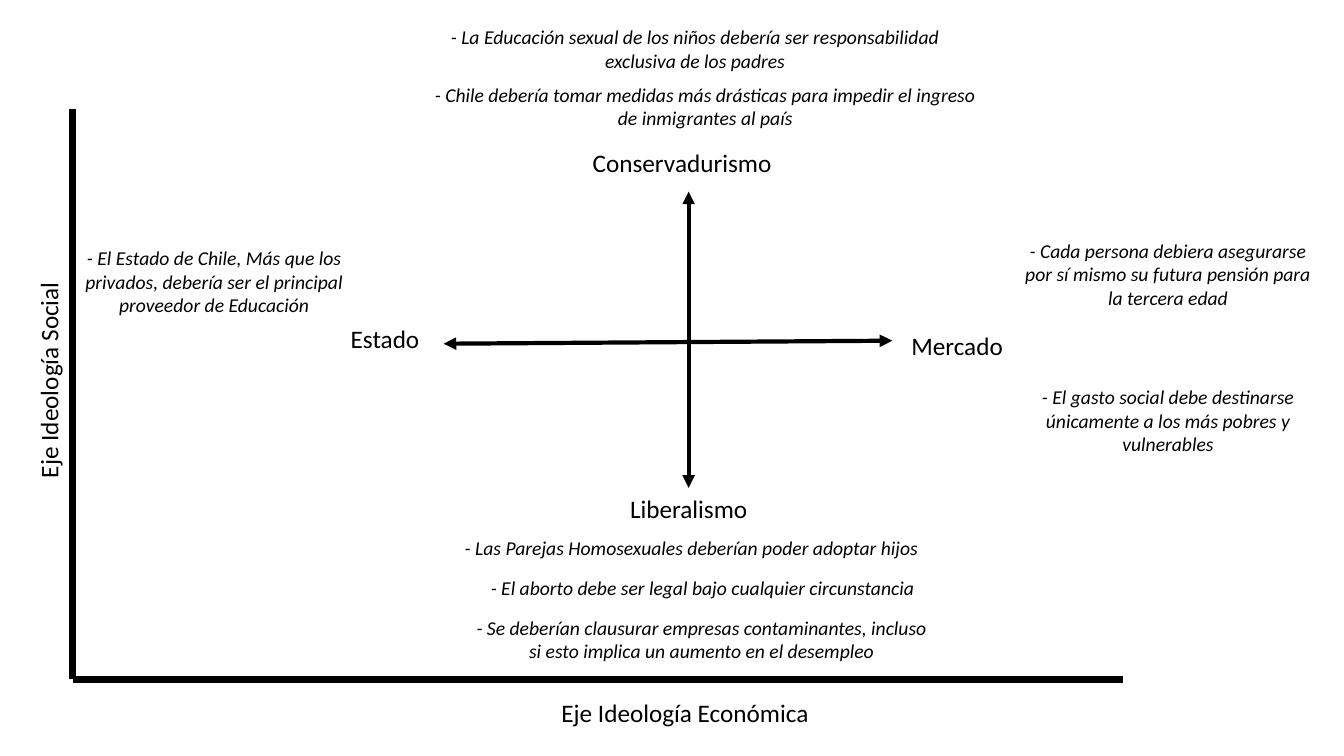
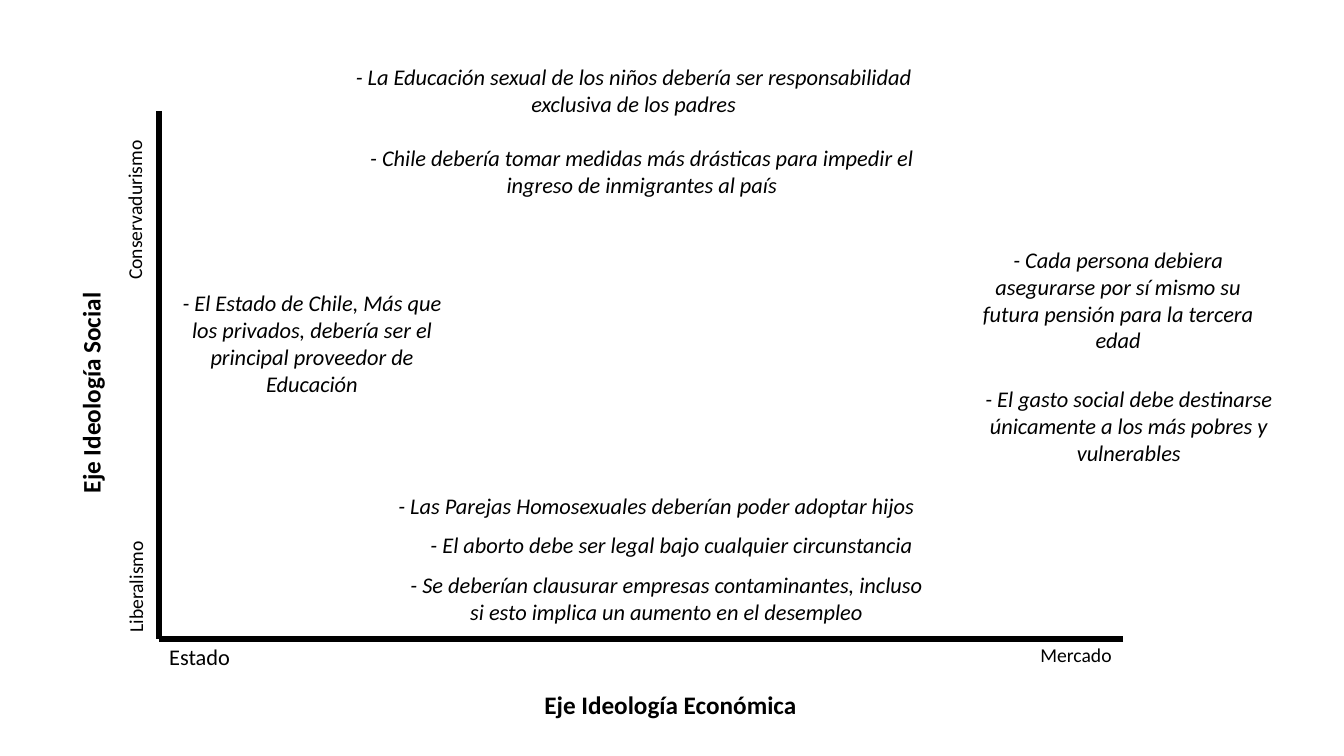
from lxml.etree import SubElement
from pptx import Presentation
from pptx.dml.color import RGBColor
from pptx.enum.shapes import MSO_CONNECTOR
from pptx.enum.text import MSO_AUTO_SIZE, PP_ALIGN
from pptx.oxml.ns import qn
from pptx.util import Inches, Pt

COLORS = {"ink": "000000", "background": "FFFFFF"}
FONT = "Calibri"
SOCIAL_AXIS = "Eje Ideología Social"
ECONOMIC_AXIS = "Eje Ideología Económica"
AXIS_END = 11.14

STATEMENTS = {
    "education": "- La Educación sexual de los niños debería ser responsabilidad "
                 "exclusiva de los padres",
    "immigration": "- Chile debería tomar medidas más drásticas para impedir el "
                   "ingreso de inmigrantes al país",
    "state": "- El Estado de Chile, Más que los privados, debería ser el "
             "principal proveedor de Educación",
    "pension": "- Cada persona debiera asegurarse por sí mismo su futura pensión "
               "para la tercera edad",
    "spending": "- El gasto social debe destinarse únicamente a los más pobres y "
                "vulnerables",
    "adoption": "- Las Parejas Homosexuales deberían poder adoptar hijos",
    "abortion": "- El aborto debe ser legal bajo cualquier circunstancia",
    "pollution": "- Se deberían clausurar empresas contaminantes, incluso si esto "
                 "implica un aumento en el desempleo",
}

CROSS_PLACES = {
    "education": (4.04, 0.2, 5.71, 0.57),
    "immigration": (4.14, 0.77, 5.71, 0.57),
    "state": (0.61, 2.39, 3.03, 0.81),
    "pension": (10.07, 2.32, 3.03, 0.81),
    "spending": (10.07, 3.77, 3.03, 0.81),
    "adoption": (4.51, 5.27, 4.7, 0.34),
    "abortion": (4.62, 5.66, 4.7, 0.34),
    "pollution": (4.61, 6.06, 4.7, 0.57),
}

PLANE_PLACES = {
    "education": (3.43, 0.58, 5.71, 0.64),
    "immigration": (3.51, 1.38, 5.71, 0.64),
    "state": (1.58, 2.82, 3.03, 1.18),
    "pension": (9.52, 2.39, 3.14, 1.18),
    "spending": (9.52, 3.77, 3.35, 0.91),
    "adoption": (3.81, 4.83, 5.4, 0.37),
    "abortion": (4.01, 5.22, 5.3, 0.37),
    "pollution": (3.91, 5.62, 5.4, 0.64),
}


def add_text(slide, text, place, size=18, bold=False, italic=False,
             align=PP_ALIGN.LEFT, rotation=0):
    box = slide.shapes.add_textbox(*map(Inches, place))
    box.rotation = rotation
    frame = box.text_frame
    frame.word_wrap = True
    frame.auto_size = MSO_AUTO_SIZE.SHAPE_TO_FIT_TEXT
    paragraph = frame.paragraphs[0]
    paragraph.alignment = align
    run = paragraph.add_run()
    run.text = text
    font = run.font
    font.name, font.size = FONT, Pt(size)
    font.bold, font.italic = bold, italic
    font.color.rgb = RGBColor.from_string(COLORS["ink"])


def add_line(slide, start, end, width=4.5, arrows=False):
    line = slide.shapes.add_connector(
        MSO_CONNECTOR.STRAIGHT, *map(Inches, (*start, *end)))
    line.line.width = Pt(width)
    line.line.color.rgb = RGBColor.from_string(COLORS["ink"])
    properties = line._element.spPr
    if arrows:
        outline = properties.find(qn("a:ln"))
        for tip in ("a:headEnd", "a:tailEnd"):
            SubElement(outline, qn(tip), type="triangle")
    SubElement(properties, qn("a:effectLst"))


def add_axes(slide, left, top, bottom, social_place, economic_place, bold=False):
    add_line(slide, (left, top), (left, bottom))
    add_line(slide, (AXIS_END, bottom), (left, bottom))
    add_text(slide, SOCIAL_AXIS, social_place, bold=bold, rotation=270)
    add_text(slide, ECONOMIC_AXIS, economic_place, bold=bold)


def add_statements(slide, places, size):
    for topic, place in places.items():
        add_text(slide, STATEMENTS[topic], place, size=size, italic=True,
                 align=PP_ALIGN.CENTER)


def add_slide(deck):
    slide = deck.slides.add_slide(deck.slide_layouts[6])
    fill = slide.background.fill
    fill.solid()
    fill.fore_color.rgb = RGBColor.from_string(COLORS["background"])
    return slide


def build_cross(deck):
    slide = add_slide(deck)
    add_line(slide, (6.83, 1.9), (6.83, 4.84), width=3, arrows=True)
    add_line(slide, (8.85, 3.38), (4.4, 3.41), width=3, arrows=True)
    add_text(slide, "Mercado", (8.94, 3.23, 1.13, 0.4))
    add_text(slide, "Estado", (3.38, 3.16, 1.13, 0.4))
    add_text(slide, "Conservadurismo", (5.78, 1.41, 1.99, 0.4))
    add_text(slide, "Liberalismo", (6.15, 4.84, 1.99, 0.4))
    add_axes(slide, 0.72, 1.08, 6.74, (-0.88, 3.28, 2.72, 0.4),
             (5.47, 6.87, 2.72, 0.4))
    add_statements(slide, CROSS_PLACES, size=14)


def build_plane(deck):
    slide = add_slide(deck)
    add_text(slide, "Mercado", (10.22, 6.33, 1.13, 0.34), size=14)
    add_text(slide, "Estado", (1.58, 6.33, 1.13, 0.37), size=16)
    add_text(slide, "Conservadurismo", (0.34, 1.71, 1.99, 0.34), size=14,
             rotation=270)
    add_text(slide, "Liberalismo", (0.6, 5.46, 1.49, 0.34), size=14, rotation=270)
    add_axes(slide, 1.58, 1.1, 6.34, (-0.46, 3.43, 2.72, 0.4),
             (5.3, 6.79, 2.72, 0.4), bold=True)
    add_statements(slide, PLANE_PLACES, size=16)


def main():
    deck = Presentation()
    deck.slide_width, deck.slide_height = Inches(13.33), Inches(7.5)
    build_cross(deck)
    build_plane(deck)
    deck.save("out.pptx")


main()
